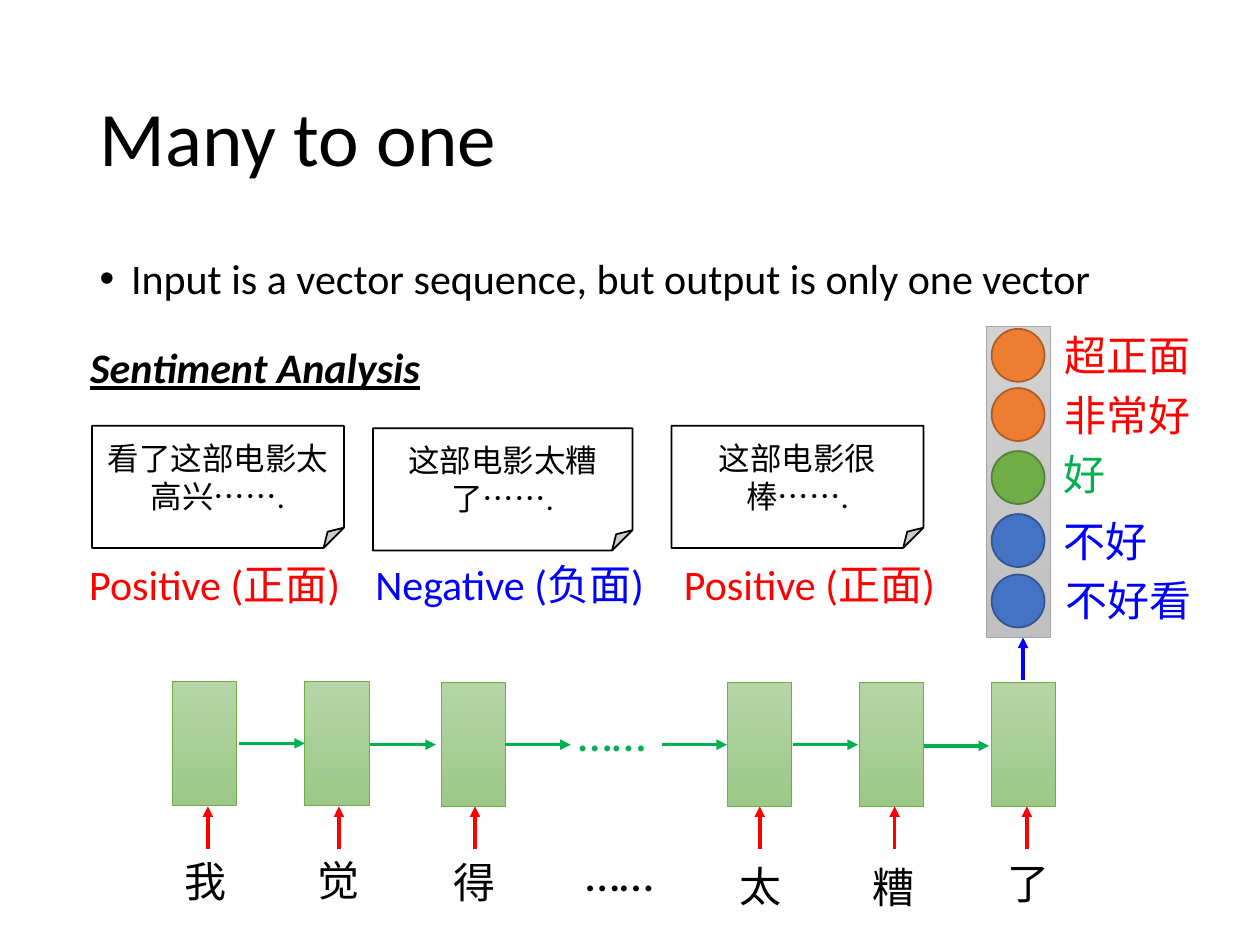
from lxml import etree
from pptx import Presentation
from pptx.dml.color import RGBColor
from pptx.enum import shapes, text
from pptx.oxml.ns import qn
from pptx.util import Inches, Pt

RED, BLUE, GREEN, BLACK = "FF0000", "0000FF", "00B050", "000000"
ORANGE, LEAF, SKY = "ED7D31", "70AD47", "4472C4"
color = RGBColor.from_string

deck = Presentation()
deck.slide_width, deck.slide_height = Inches(10), Inches(7.5)
page = deck.slides.add_slide(deck.slide_layouts[1])


def write(box, words, size, ink, align=text.PP_ALIGN.LEFT):
    frame = box.text_frame
    frame.text = words
    frame.word_wrap = True
    para = frame.paragraphs[0]
    para.alignment = align
    font = para.runs[0].font
    font.name, font.size = "Calibri", Pt(size)
    font.color.rgb = color(ink)
    return para


def style(shape, fills, edge, width):
    shape.shadow.inherit = False
    if len(fills) == 1:
        shape.fill.solid()
        shape.fill.fore_color.rgb = color(fills[0])
    else:
        shape.fill.gradient()
        shape.fill.gradient_angle = 270
        for stop, shade in zip(shape.fill.gradient_stops, fills):
            stop.color.rgb = color(shade)
    shape.line.color.rgb = color(edge)
    shape.line.width = Pt(width)


title = page.shapes.title
body = page.placeholders[1]
for holder, top, height, words, size in [
    (title, 0.4, 1.45, "Many to one", 44),
    (body, 2, 4.76, "Input is a vector sequence, but output is only one vector", 24),
]:
    holder.left, holder.top = Inches(0.69), Inches(top)
    holder.width, holder.height = Inches(8.62), Inches(height)
    para = write(holder, words, size, BLACK)
    para.line_spacing = 0.9
    para.space_before = Pt(0)
    holder.text_frame.auto_size = text.MSO_AUTO_SIZE.NONE
title.text_frame.vertical_anchor = text.MSO_ANCHOR.MIDDLE
bullet = body.text_frame.paragraphs[0]._p.get_or_add_pPr()
bullet.set("marL", str(Inches(0.25)))
bullet.set("indent", str(-Inches(0.25)))
etree.SubElement(bullet, qn("a:buFont")).set("typeface", "Arial")
etree.SubElement(bullet, qn("a:buChar")).set("char", "•")

cells = [(1.37, 5.41), (2.42, 5.41), (3.5, 5.42), (5.77, 5.42), (6.82, 5.42), (7.87, 5.42)]
for left, top in cells:
    cell = page.shapes.add_shape(
        shapes.MSO_SHAPE.RECTANGLE, Inches(left), Inches(top), Inches(0.51), Inches(0.98))
    style(cell, ["B5D5A7", "9CC987"], LEAF, 0.5)

arrows = [(8.12, 5.4, 8.12, 5.06, BLUE)]
for x, y in [(1.9, 5.9), (2.94, 5.91), (4.01, 5.91), (5.25, 5.91), (6.29, 5.91), (7.33, 5.92)]:
    arrows.append((x, y, x + 0.52, y, GREEN))
for x in [1.65, 2.69, 3.77, 6.03, 7.1, 8.15]:
    arrows.append((x, 6.74, x, 6.4, RED))
for x1, y1, x2, y2, ink in arrows:
    arrow = page.shapes.add_connector(
        shapes.MSO_CONNECTOR.STRAIGHT, Inches(x1), Inches(y1), Inches(x2), Inches(y2))
    arrow.line.color.rgb = color(ink)
    arrow.line.width = Pt(2)
    etree.SubElement(arrow.line._get_or_add_ln(), qn("a:tailEnd")).set("type", "triangle")
    etree.SubElement(arrow._element.spPr, qn("a:effectLst"))

vector = page.shapes.add_group_shape()
frame = vector.shapes.add_shape(
    shapes.MSO_SHAPE.RECTANGLE, Inches(7.83), Inches(2.59), Inches(0.51), Inches(2.47))
style(frame, ["D2D2D2", "C0C0C0"], "A5A5A5", 0.5)
for top, fill, edge in [
    (2.61, ORANGE, "AF5C24"), (3.08, ORANGE, "AF5C24"), (3.58, LEAF, "538035"),
    (4.08, SKY, "325491"), (4.56, SKY, "325491"),
]:
    dot = vector.shapes.add_shape(
        shapes.MSO_SHAPE.OVAL, Inches(7.87), Inches(top), Inches(0.42), Inches(0.42))
    style(dot, [fill], edge, 1)

for left, top, width, words in [
    (0.73, 3.38, 2, "看了这部电影太高兴……."),
    (2.96, 3.4, 2.06, "这部电影太糟了……."),
    (5.33, 3.38, 2, "这部电影很棒……."),
]:
    note = page.shapes.add_shape(
        shapes.MSO_SHAPE.FOLDED_CORNER, Inches(left), Inches(top), Inches(width), Inches(0.97))
    style(note, ["FFFFFF"], BLACK, 1)
    write(note, words, 18, BLACK, text.PP_ALIGN.CENTER)
    note.text_frame.vertical_anchor = text.MSO_ANCHOR.MIDDLE

labels = [
    (0.61, 4.38, 2.35, "Positive (正面)", 24, RED),
    (2.88, 4.38, 2.35, "Negative (负面)", 24, BLUE),
    (5.33, 4.38, 2.35, "Positive (正面)", 24, RED),
    (8.35, 2.57, 1.21, "超正面", 24, RED),
    (8.35, 3.04, 1.21, "非常好", 24, RED),
    (8.34, 3.51, 0.54, "好", 24, GREEN),
    (8.34, 4.04, 0.88, "不好", 24, BLUE),
    (8.36, 4.51, 1.21, "不好看", 24, BLUE),
    (4.49, 5.53, 1.21, "……", 28, GREEN),
    (4.55, 6.64, 1.21, "……", 28, BLACK),
]
for left, top, word in [
    (1.37, 6.74, "我"), (2.42, 6.73, "觉"), (3.5, 6.75, "得"),
    (5.77, 6.78, "太"), (6.83, 6.79, "糟"), (7.9, 6.76, "了"),
]:
    labels.append((left, top, 0.54, word, 24, BLACK))
for left, top, width, words, size, ink in labels:
    box = page.shapes.add_textbox(
        Inches(left), Inches(top), Inches(width), Inches(0.57 if size == 28 else 0.5))
    write(box, words, size, ink)
    box.text_frame.word_wrap = width == 2.35 or size == 28

heading = page.shapes.add_textbox(Inches(0.54), Inches(2.66), Inches(2.97), Inches(0.5))
span = write(heading, "Sentiment Analysis", 24, BLACK, text.PP_ALIGN.CENTER).runs[0]
span.font.bold = span.font.italic = span.font.underline = True

deck.save("out.pptx")
